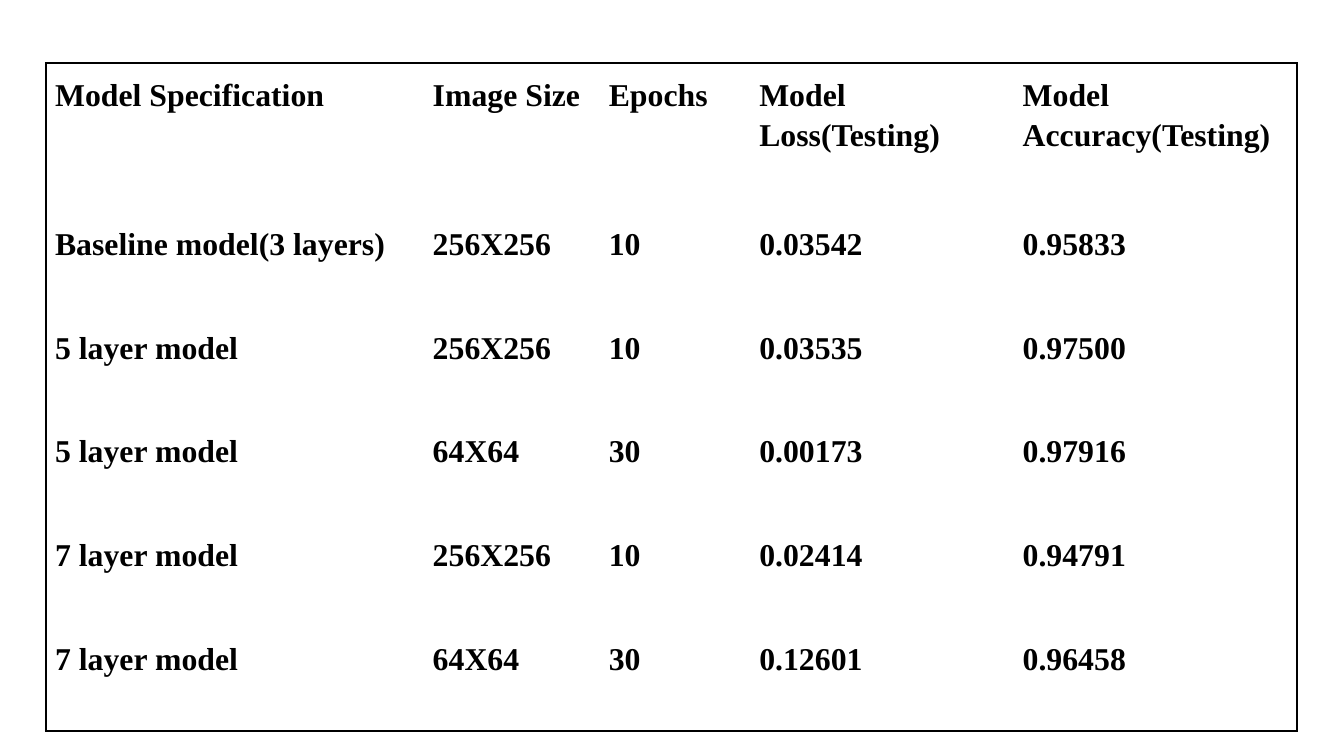
"""Builds a slide with a table comparing models by loss and accuracy."""
from lxml import etree
from pptx import Presentation
from pptx import util as u
from pptx.dml.color import RGBColor
from pptx.enum import text
from pptx.oxml import ns

COLORS = {"ink": "000000"}
CELL_FORMAT = {f"margin_{side}": u.Inches(0.07) for side in ("left", "right", "top", "bottom")}
PARA_FORMAT = {
    "alignment": text.PP_ALIGN.JUSTIFY,
    "line_spacing": 1.15,
    "space_before": u.Pt(12),
}
FONT_FORMAT = {"name": "Times New Roman", "size": u.Pt(17), "bold": True}
PAGE_WIDTH = 10
TABLE_HEIGHT = 4.97
HEADER_HEIGHT = 1.11
COLUMN_WIDTHS = [2.81, 1.31, 1.12, 1.96, 2.11]
ROWS = [
    ["Model Specification", "Image Size", "Epochs", "Model Loss(Testing)", "Model Accuracy(Testing)"],
    ["Baseline model(3 layers)", "256X256", "10", "0.03542", "0.95833"],
    ["5 layer model", "256X256", "10", "0.03535", "0.97500"],
    ["5 layer model", "64X64", "30", "0.00173", "0.97916"],
    ["7 layer model", "256X256", "10", "0.02414", "0.94791"],
    ["7 layer model", "64X64", "30", "0.12601", "0.96458"],
]


def apply_format(target, values):
    for name, value in values.items():
        setattr(target, name, value)


def add_border(cell, position, side, outer):
    line = etree.Element(ns.qn(f"a:ln{side}"), w=str(u.Pt(0.99 if outer else 0.75)))
    fill = etree.SubElement(line, ns.qn("a:solidFill"))
    color = etree.SubElement(fill, ns.qn("a:srgbClr"), val=COLORS["ink"])
    if not outer:
        etree.SubElement(color, ns.qn("a:alpha"), val="0")
    cell._tc.get_or_add_tcPr().insert(position, line)


deck = Presentation()
apply_format(deck, {
    "slide_width": u.Inches(PAGE_WIDTH),
    "slide_height": u.Inches(PAGE_WIDTH * 9 / 16),
})
page = deck.slides.add_slide(deck.slide_layouts[6])

frame = page.shapes.add_table(
    len(ROWS), len(COLUMN_WIDTHS), u.Inches(0.34), u.Inches(0.47),
    u.Inches(sum(COLUMN_WIDTHS)), u.Inches(TABLE_HEIGHT),
)
table = frame.table
apply_format(table, {"first_row": False, "horz_banding": False})
for column, width in zip(table.columns, COLUMN_WIDTHS):
    column.width = u.Inches(width)

last_row, last_column = len(ROWS) - 1, len(COLUMN_WIDTHS) - 1
body_height = (TABLE_HEIGHT - HEADER_HEIGHT) / last_row
for row_index, values in enumerate(ROWS):
    table.rows[row_index].height = u.Inches(body_height if row_index else HEADER_HEIGHT)
    for column_index, value in enumerate(values):
        cell = table.cell(row_index, column_index)
        apply_format(cell, CELL_FORMAT)
        cell.fill.background()
        para = cell.text_frame.paragraphs[0]
        apply_format(para, PARA_FORMAT)
        span = para.add_run()
        span.text = value
        apply_format(span.font, FONT_FORMAT)
        span.font.color.rgb = RGBColor.from_string(COLORS["ink"])
        outer_sides = {
            "L": column_index == 0,
            "R": column_index == last_column,
            "T": row_index == 0,
            "B": row_index == last_row,
        }
        for position, (side, outer) in enumerate(outer_sides.items()):
            add_border(cell, position, side, outer)

deck.save("out.pptx")
